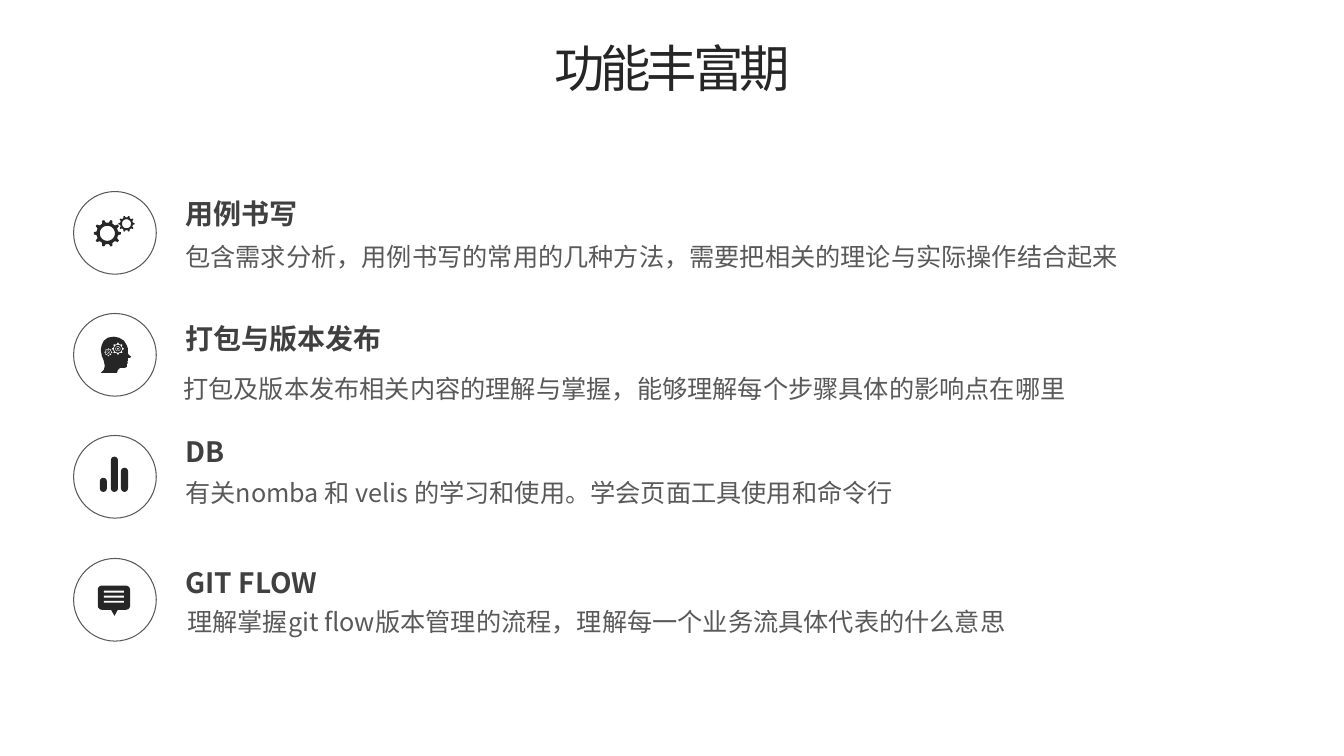
from math import cos, pi, sin

from pptx import Presentation, util as u
from pptx.dml.color import RGBColor
from pptx.enum import shapes, text
from pptx.oxml.ns import qn

PX = 9144  # 100 px to the inch
FINE = 100  # outline steps per px
FONT = "Noto Sans CJK SC"
DARK, HEADING, GREY, WHITE = "262626", "404040", "595959", "FFFFFF"
KIND = shapes.MSO_SHAPE


def px(*nums):
    return [u.Emu(round(n * PX)) for n in nums]


def paint(fmt, color):
    fmt.solid()
    fmt.fore_color.rgb = RGBColor.from_string(color)


def write(box, words, size, color, bold=False, wrap=True, align=None, gap=None):
    """Fill a text shape with one formatted line; gap is letter spacing in points."""
    frame = box.text_frame
    frame.word_wrap = wrap
    frame.auto_size = text.MSO_AUTO_SIZE.SHAPE_TO_FIT_TEXT
    frame.vertical_anchor = text.MSO_ANCHOR.TOP
    par = frame.paragraphs[0]
    par.alignment = align
    run = par.add_run()
    run.text = words
    font = run.font
    font.size, font.bold, font.name = u.Pt(size), bold, FONT
    paint(font.fill, color)
    props = run._r.get_or_add_rPr()
    far = props.makeelement(qn("a:ea"), {"typeface": FONT})
    props.find(qn("a:latin")).addnext(far)
    if gap:
        props.set("spc", str(gap * 100))


def plain(shape, color=DARK):
    shape.shadow.inherit = False
    paint(shape.fill, color)
    shape.line.fill.background()
    return shape


def block(group, kind, x, y, w, h, color=DARK):
    return plain(group.shapes.add_shape(kind, *px(x, y, w, h)), color)


def outline(group, x, y, *loops):
    """Draw closed loops around (x, y) as one shape; inner loops are holes."""
    pen = None
    for loop in loops:
        pts = [((x + a) * FINE, (y + b) * FINE) for a, b in loop]
        if pen is None:
            pen = group.shapes.build_freeform(*pts[0], scale=PX / FINE)
        else:
            pen.move_to(*pts[0])
        pen.add_line_segments(pts[1:], close=True)
    plain(pen.convert_to_shape())


def ring(x, y, r, n=32):
    return [(x + r * cos(2 * pi * i / n), y + r * sin(2 * pi * i / n))
            for i in range(n)]


def cog(x, y, r, teeth=10):
    """Points of a toothed wheel with its first tooth facing right."""
    pts = []
    for i in range(teeth):
        for turn, reach in ((-.27, .8), (-.12, 1), (.12, 1), (.27, .8)):
            ang = 2 * pi * (i + turn) / teeth
            pts.append((x + r * reach * cos(ang), y + r * reach * sin(ang)))
    return pts


def gears(group, x, y):
    for dx, dy, r, hole in ((-7.5, .5, 13.5, 7.5), (11.5, -9, 8, 4.5)):
        outline(group, x, y, cog(dx, dy, r), ring(dx, dy, hole))


def head(group, x, y):
    face = [(16, 2), (13, -1), (13, -6), (12, -9), (9, -14), (4, -17),
            (-1, -18), (-7, -17), (-11, -14), (-13, -10), (-14, -5),
            (-13, 1), (-11, 6), (-10, 11), (-11, 15), (-14, 18), (2, 18),
            (3, 15), (5, 13), (10, 13), (12, 12), (12, 9), (13, 8),
            (12, 7), (13, 6), (13, 3), (15, 3)]
    wheels = ((-6.5, -2.5, 4), (3, -6, 6))
    outline(group, x, y, face, *(cog(*wheel, 8) for wheel in wheels))
    for dx, dy, r in wheels:
        for rim, hole in ((.65, .42), (.32, .15)):
            outline(group, x, y, ring(dx, dy, r * rim), ring(dx, dy, r * hole))


def bars(group, x, y):
    for dx, tall in ((-4, 35), (-15, 14), (6, 24)):
        bar = block(group, KIND.ROUNDED_RECTANGLE, x + dx, y + 15 - tall, 7, tall)
        bar.adjustments[0] = .5


def bubble(group, x, y):
    outline(group, x, y, [(-5, 8), (4, 8), (-.5, 16)])
    block(group, KIND.ROUNDED_RECTANGLE, x - 17, y - 14, 32, 24)
    for i in range(3):
        block(group, KIND.RECTANGLE, x - 11, y - 9 + 5 * i, 20, 2, WHITE)


def entry(slide, x, y, icon, name, note, wide, drop, shift, fall):
    """Ringed icon at (x, y), heading `drop` px and note `fall` px below."""
    group = slide.shapes.add_group_shape()
    disc = group.shapes.add_shape(KIND.OVAL, *px(x, y, 82, 82))
    disc.shadow.inherit = False
    disc.fill.background()
    paint(disc.line.fill, GREY)
    disc.line.width = u.Pt(.75)
    icon(group, x + 41, y + 41)
    label = group.shapes.add_textbox(*px(x + 101, y + drop, wide, 44))
    write(label, name, 20, HEADING, bold=True, wrap=False)
    body = group.shapes.add_textbox(*px(x + 101 + shift, y + fall, 1060, 40))
    write(body, note, 18, GREY)


def title(slide, x, y, w, h, words):
    box = slide.shapes.title
    box.left, box.top, box.width, box.height = px(x, y, w, h)
    write(box, words, 36, DARK, align=text.PP_ALIGN.CENTER, gap=-3)


ENTRIES = [
    (gears, "用例书写",
     "包含需求分析，用例书写的常用的几种方法，需要把相关的理论与实际操作结合起来",
     132, 0, 0, 44),
    (head, "打包与版本发布",
     "打包及版本发布相关内容的理解与掌握，能够理解每个步骤具体的影响点在哪里",
     225, 3, -2, 54),
    (bars, "DB", "有关nomba 和 velis 的学习和使用。学会页面工具使用和命令行",
     61, -6, 0, 37),
    (bubble, "GIT FLOW",
     "理解掌握git flow版本管理的流程，理解每一个业务流具体代表的什么意思",
     158, 2, 2, 43),
]


def main():
    deck = Presentation()
    deck.slide_width, deck.slide_height = px(1333, 750)
    slide = deck.slides.add_slide(deck.slide_layouts[5])
    title(slide, 382, 32, 569, 71, "功能丰富期")
    for i, row in enumerate(ENTRIES):
        entry(slide, 73, 190 + i * 364 // 3, *row)
    deck.save("out.pptx")


if __name__ == "__main__":
    main()
